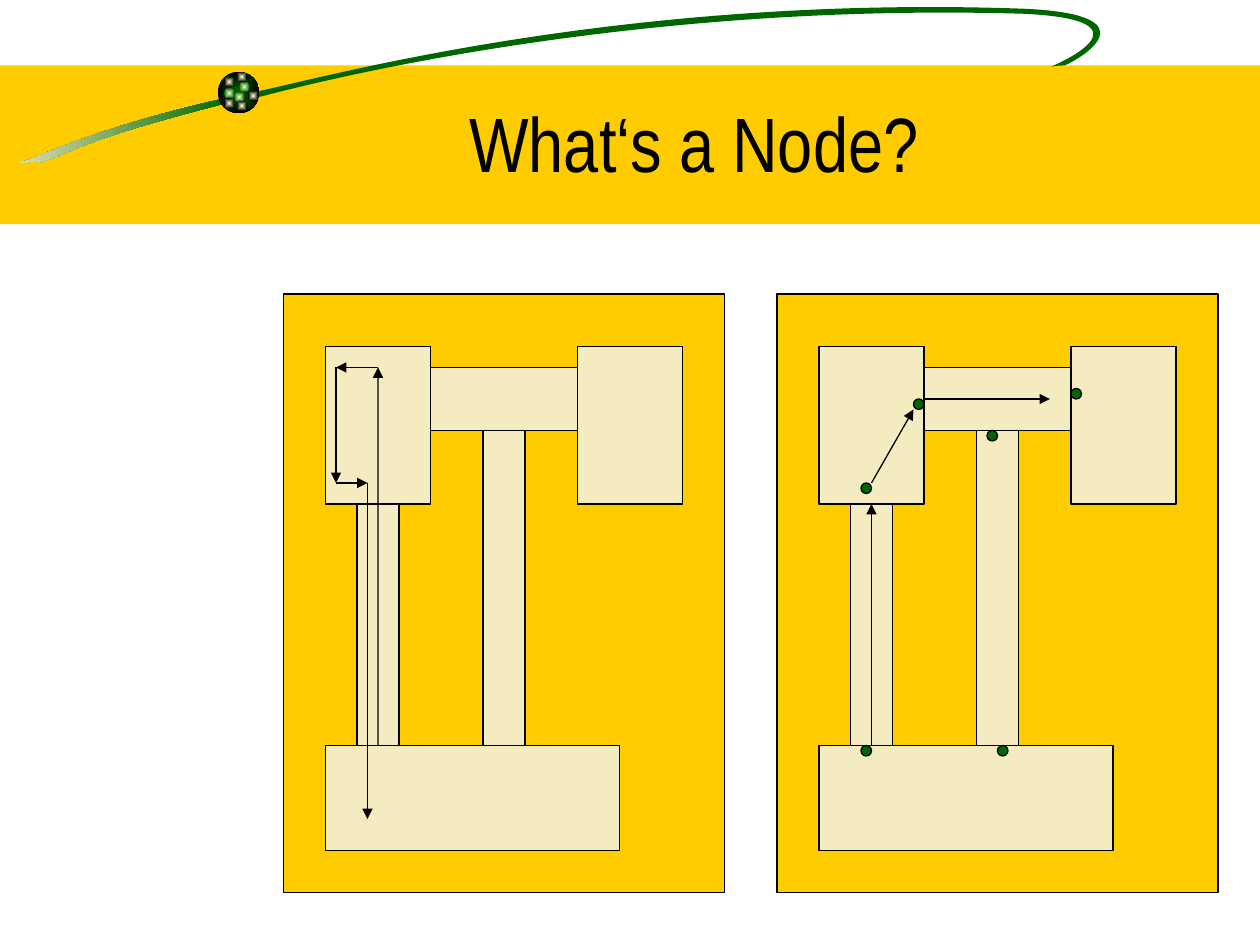
from math import cos, radians, sin

from lxml import etree
from pptx import Presentation
from pptx.dml.color import RGBColor
from pptx.enum.shapes import MSO_CONNECTOR, MSO_SHAPE
from pptx.enum.text import MSO_ANCHOR, PP_ALIGN
from pptx.oxml import parse_xml
from pptx.oxml.ns import qn
from pptx.util import Inches, Pt

RECT, OVAL = MSO_SHAPE.RECTANGLE, MSO_SHAPE.OVAL
STRAIGHT = MSO_CONNECTOR.STRAIGHT
TOP, LEFT, BOTTOM, RIGHT = range(4)
C = {"gold": "FFCC00", "cream": "F5EBC1", "green": "006600",
     "black": "000000", "glow": "FFFFCC"}

TITLE = "What‘s a Node?"

# Swoosh outlines in inches: centre, start point, then cubic curves
TILT = 8.5
TAIL = ((0.89, 1.06), (1.78, 0.78), [
    ((0.91, 0.98), (0.49, 1.16), (0.25, 1.26)),
    ((0.01, 1.34), (0.26, 1.26), (0.31, 1.29)),
    ((0.57, 1.22), (0.57, 1.13), (1.79, 0.82)),
    ((1.79, 0.82), (1.78, 0.78), (1.78, 0.78))])
ARC = ((5.59, 0.39), (2.02, 0.73), [
    ((2.46, 0.65), (4.86, -0.05), (8.14, 0.07)),
    ((9.17, 0.12), (8.57, 0.47), (8.45, 0.52)),
    ((8.45, 0.52), (8.38, 0.52), (8.34, 0.53)),
    ((8.44, 0.49), (9.16, 0.16), (8.13, 0.11)),
    ((5.48, 0.03), (3.2, 0.47), (2.06, 0.77)),
    ((2.06, 0.77), (2.02, 0.73), (2.02, 0.73))])
SPARKS = [(1.9, 0.65, "green"), (1.78, 0.61, "black"), (1.78, 0.7, "green"),
          (1.86, 0.73, "green"), (1.97, 0.72, "black"), (1.88, 0.8, "black"),
          (1.78, 0.78, "black"), (1.88, 0.57, "black")]

# Floor plans: units of 1/12 inch, measured from the panel's corner
UNIT = 1 / 12
PANEL_TOP, PANEL_W, PANEL_H = 28, 42, 57
ROOMS = {"west": (4, 5, 10, 15), "corridor": (14, 7, 14, 6),
         "east": (28, 5, 10, 15), "stem": (19, 13, 4, 30),
         "hall": (4, 43, 28, 10), "leg": (7, 20, 4, 23)}
# Arrows: start, end, joined room side at start, joined room side at end
PANELS = [
    {"left": 74,
     "nodes": [(8, 18), (8, 43), (21, 43), (20, 13), (28, 9), (13, 10)],
     "arrows": [((9, 43), (9, 20), ("leg", BOTTOM), ("west", BOTTOM)),
                ((9, 18), (13, 11), None, None),
                ((14, 10), (26, 10), ("corridor", LEFT), None)]},
    {"left": 27,
     "nodes": [],
     "arrows": [((9, 43), (9, 7), ("leg", BOTTOM), None),
                ((9, 7), (5, 7), None, None),
                ((5, 7), (5, 18), None, None),
                ((5, 18), (8, 18), None, None),
                ((8, 18), (8, 50), None, None)]},
]


def rgb(name):
    return RGBColor.from_string(C[name])


def paint(sp, fill, line=None):
    sp.shadow.inherit = False
    if isinstance(fill, tuple):
        sp.fill.gradient()
        for stop, name in zip(sp.fill.gradient_stops, fill):
            stop.color.rgb = rgb(name)
        first, last = sp.fill.gradient_stops
        first.position, last.position = 0, 1
    else:
        sp.fill.solid()
        sp.fill.fore_color.rgb = rgb(fill)
    if line:
        sp.line.color.rgb = rgb(line)
        sp.line.width = Pt(0.75)
    else:
        sp.line.fill.background()
    return sp


def shape(s, kind, box, fill, line=None):
    return paint(s.shapes.add_shape(kind, *map(Inches, box)), fill, line)


def glowing_ball(s, x, y, size, inner, outer):
    """Circle whose gradient runs from its centre to its rim."""
    sp = shape(s, OVAL, (x, y, size, size), (inner, outer))
    lin = sp.element.spPr.find(".//" + qn("a:lin"))
    lin.getparent().replace(lin, parse_xml(
        '<a:path xmlns:a="http://schemas.openxmlformats.org/drawingml/2006/main"'
        ' path="rect"><a:fillToRect l="50000" t="50000" r="50000" b="50000"/></a:path>'))


def swoosh(s, outline, fill):
    """Closed outline of cubic curves, laid out level and then tilted."""
    (cx, cy), start, curves = outline
    co, si = cos(radians(TILT)), sin(radians(TILT))

    def level(point):
        dx, dy = point[0] - cx, point[1] - cy
        return Inches(cx + dx * co - dy * si), Inches(cy + dx * si + dy * co)

    fb = s.shapes.build_freeform(*level(start))
    fb.add_line_segments([level(p) for curve in curves for p in curve], close=True)
    sp = fb.convert_to_shape()
    # Every three line points become the control points of one curve
    lines = list(sp.element.spPr.iter(qn("a:lnTo")))
    for i in range(0, len(lines), 3):
        bez = etree.Element(qn("a:cubicBezTo"))
        lines[i].addprevious(bez)
        for ln in lines[i:i + 3]:
            bez.append(ln[0])
            ln.getparent().remove(ln)
    sp.rotation = 360 - TILT
    return paint(sp, fill)


def arrow(s, start, end):
    cx = s.shapes.add_connector(STRAIGHT, *map(Inches, (*start, *end)))
    cx.line.color.rgb = rgb("black")
    cx.line.width = Pt(0.75)
    ln = cx.element.spPr.find(qn("a:ln"))
    etree.SubElement(ln, qn("a:tailEnd"), type="triangle")
    etree.SubElement(cx.element.spPr, qn("a:effectLst"))
    return cx


def write(sp, text, font="Arial Narrow", size=44, color="black",
          align=PP_ALIGN.CENTER, anchor=MSO_ANCHOR.MIDDLE):
    tf = sp.text_frame
    tf.word_wrap = True
    tf.vertical_anchor = anchor
    p = tf.paragraphs[0]
    p.alignment = align
    r = p.add_run()
    r.text = text
    r.font.name, r.font.size = font, Pt(size)
    r.font.color.rgb = rgb(color)


def draw_header(s):
    shape(s, RECT, (0, 0.52, 10, 1.26), "gold")
    swoosh(s, TAIL, ("green", "cream")).fill.gradient_angle = 180
    swoosh(s, ARC, "green")
    glowing_ball(s, 1.73, 0.57, 0.33, "green", "black")
    for x, y, rim in SPARKS:
        glowing_ball(s, x, y, 0.08, "glow", rim)
    title = s.shapes.title
    title.left, title.top, title.width, title.height = map(
        Inches, (1.26, 0.5, 8.5, 1.25))
    write(title, TITLE)
    title.element.getparent().append(title.element)  # in front of the band


def draw_panel(s, left, nodes, arrows):
    def place(x, y):
        return (left + x) * UNIT, (PANEL_TOP + y) * UNIT

    def block(kind, x, y, w, h, fill):
        return shape(s, kind, (*place(x, y), w * UNIT, h * UNIT), fill, "black")

    block(RECT, 0, 0, PANEL_W, PANEL_H, "gold")
    rooms = {name: block(RECT, *box, "cream") for name, box in ROOMS.items()}
    for x, y in nodes:
        block(OVAL, x, y, 1, 1, "green")
    for start, end, begin_at, end_at in arrows:
        cx = arrow(s, place(*start), place(*end))
        if begin_at:
            cx.begin_connect(rooms[begin_at[0]], begin_at[1])
        if end_at:
            cx.end_connect(rooms[end_at[0]], end_at[1])


def main():
    prs = Presentation()
    prs.slide_width, prs.slide_height = Inches(10), Inches(7.5)
    s = prs.slides.add_slide(prs.slide_layouts[5])
    draw_header(s)
    for panel in PANELS:
        draw_panel(s, **panel)
    prs.save("out.pptx")


if __name__ == "__main__":
    main()
